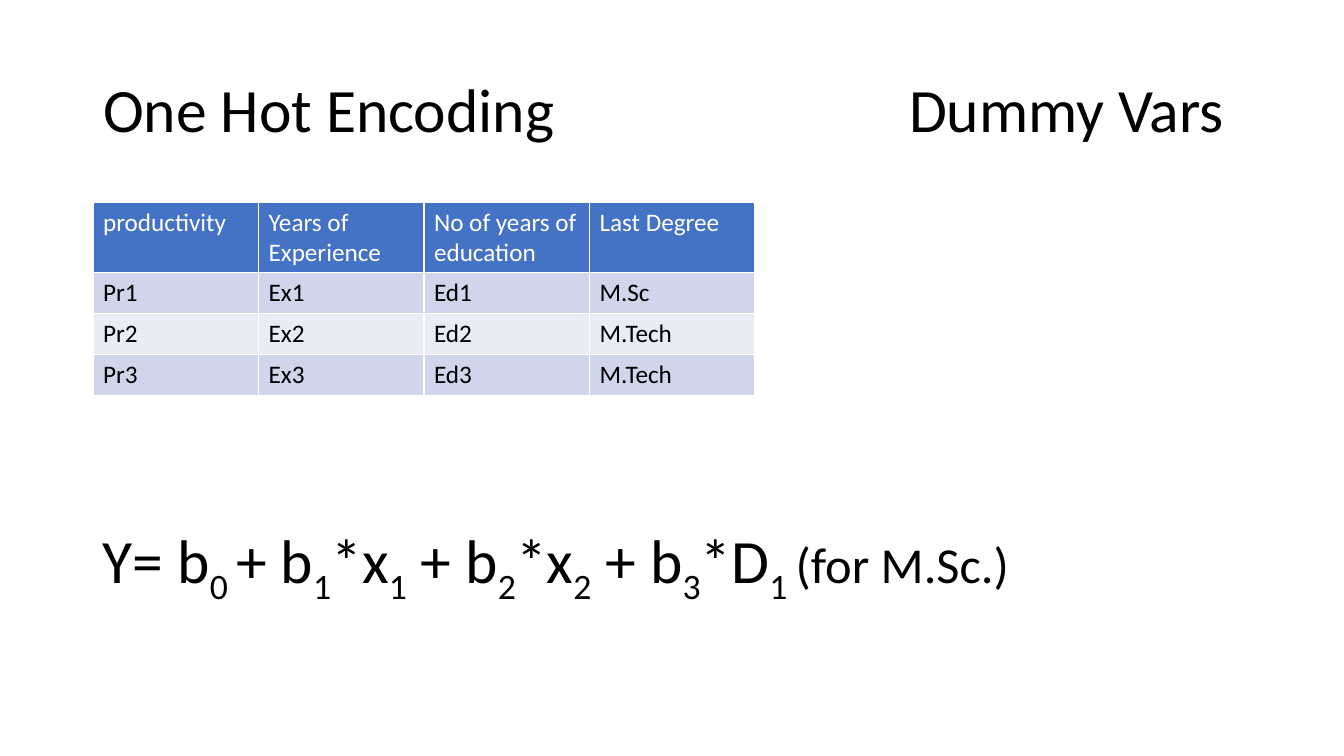
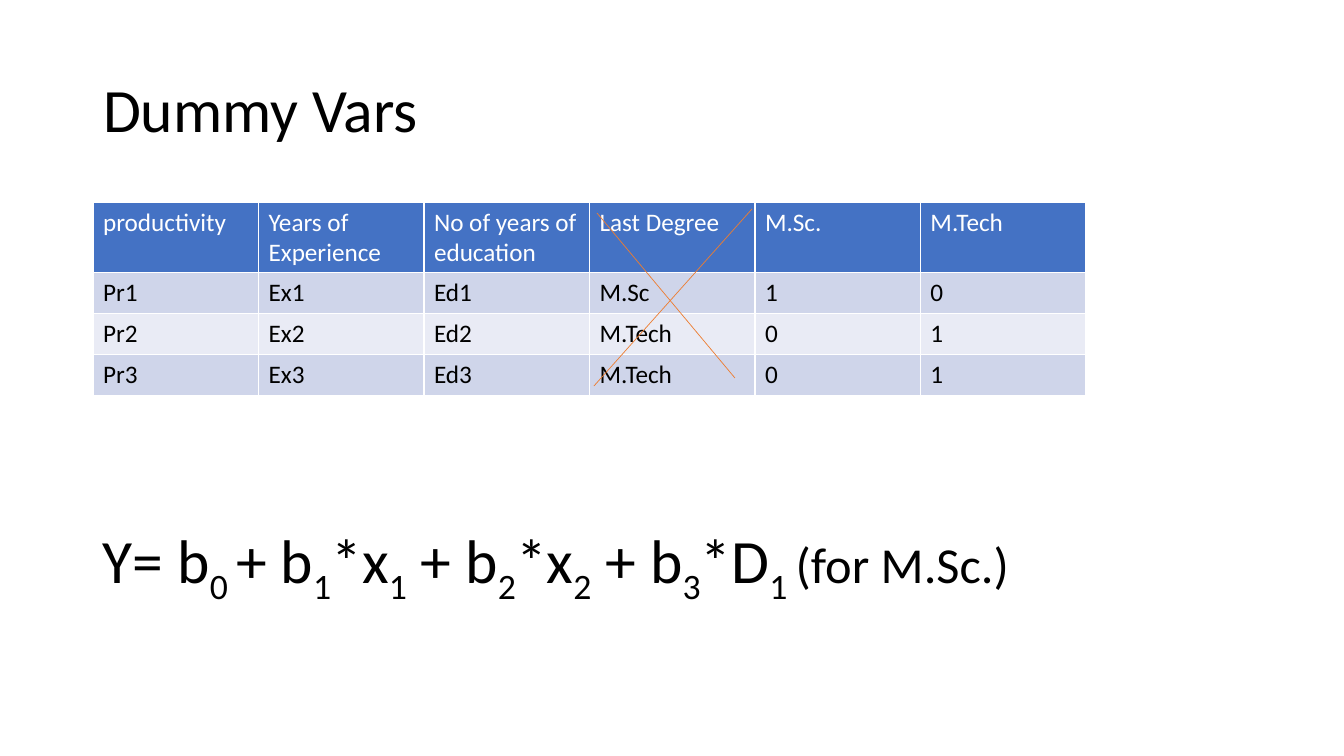
from lxml.etree import SubElement
from pptx import Presentation
from pptx.dml.color import RGBColor
from pptx.enum.shapes import MSO_CONNECTOR
from pptx.enum.text import MSO_ANCHOR, PP_ALIGN
from pptx.oxml.ns import qn
from pptx.util import Pt

WIDTH, HEIGHT = 1344, 756
SCALE = 12192000 / WIDTH  # EMU per px

BLACK = RGBColor(0x00, 0x00, 0x00)
WHITE = RGBColor(0xFF, 0xFF, 0xFF)
BLUE = RGBColor(0x44, 0x72, 0xC4)
BAND_DARK = RGBColor(0xCF, 0xD5, 0xEA)
BAND_LIGHT = RGBColor(0xE9, 0xEB, 0xF5)
ORANGE = RGBColor(0xED, 0x7D, 0x31)

LEFT, TEXT_W, TEXT_H = 93, 1159, 146
TITLE_Y, TABLE_Y, FORMULA_Y = 40, 202, 488
TABLE_WIDTHS = {4: 662, 6: 993}
HEADER_H, ROW_H = 70, 41
TITLE_TAB = 806

BASE_ROWS = [
    ["productivity", "Years of Experience", "No of years of education", "Last Degree"],
    ["Pr1", "Ex1", "Ed1", "M.Sc"],
    ["Pr2", "Ex2", "Ed2", "M.Tech"],
    ["Pr3", "Ex3", "Ed3", "M.Tech"],
]
DUMMY_COLUMNS = [["M.Sc.", "M.Tech"], ["1", "0"], ["0", "1"], ["0", "1"]]
SLIDES = [
    ("One Hot Encoding \tDummy Vars", BASE_ROWS),
    ("Dummy Vars", [row + extra for row, extra in zip(BASE_ROWS, DUMMY_COLUMNS)]),
]
# Normal text and subscripts take turns
FORMULA = ["Y= b", "0 ", "+ b", "1", "*x", "1", " + b", "2", "*x", "2",
           " + b", "3", "*D", "1 ", "(for M.Sc.)"]
CROSS = [(597, 213, 735, 378), (752, 209, 594, 386)]


def px(*lengths):
    return [round(n * SCALE) for n in lengths]


def add_text(p, text, size=44, color=BLACK, subscript=False):
    r = p.add_run()
    r.text = text
    r.font.name = "Calibri"
    r.font.size = Pt(size)
    r.font.bold = False
    r.font.color.rgb = color
    if subscript:
        r._r.get_or_add_rPr().set("baseline", "-25000")


prs = Presentation()
prs.slide_width, prs.slide_height = px(WIDTH, HEIGHT)

for title_text, rows in SLIDES:
    s = prs.slides.add_slide(prs.slide_layouts[5])

    title = s.shapes.title
    title.left, title.top, title.width, title.height = px(LEFT, TITLE_Y, TEXT_W, TEXT_H)
    formula = s.shapes.add_textbox(*px(LEFT, FORMULA_Y, TEXT_W, TEXT_H))
    for sp in (title, formula):
        tf = sp.text_frame
        tf.word_wrap = True
        tf.vertical_anchor = MSO_ANCHOR.MIDDLE
        p = tf.paragraphs[0]
        p.alignment = PP_ALIGN.LEFT
        p.line_spacing = 0.9

    p = title.text_frame.paragraphs[0]
    add_text(p, title_text)
    if "\t" in title_text:
        tabs = SubElement(p._p.get_or_add_pPr(), qn("a:tabLst"))
        SubElement(tabs, qn("a:tab"), pos=str(px(TITLE_TAB)[0]), algn="l")

    p = formula.text_frame.paragraphs[0]
    for i, part in enumerate(FORMULA[:-1]):
        add_text(p, part, subscript=i % 2 == 1)
    add_text(p, FORMULA[-1], size=36)

    n_cols = len(rows[0])
    table_h = HEADER_H + ROW_H * (len(rows) - 1)
    table = s.shapes.add_table(
        len(rows), n_cols, *px(LEFT, TABLE_Y, TABLE_WIDTHS[n_cols], table_h)).table
    for i, row in enumerate(rows):
        table.rows[i].height = px(ROW_H if i else HEADER_H)[0]
        fill = (BAND_DARK if i % 2 else BAND_LIGHT) if i else BLUE
        for j, text in enumerate(row):
            cell = table.cell(i, j)
            cell.fill.solid()
            cell.fill.fore_color.rgb = fill
            add_text(cell.text_frame.paragraphs[0], text, size=18,
                     color=BLACK if i else WHITE)

# Cross out the column that the dummy variables replace
for ends in CROSS:
    line = s.shapes.add_connector(MSO_CONNECTOR.STRAIGHT, *px(*ends))
    line.line.color.rgb = ORANGE
    line.line.width = Pt(0.5)
    SubElement(line._element.spPr, qn("a:effectLst"))

prs.save("out.pptx")
